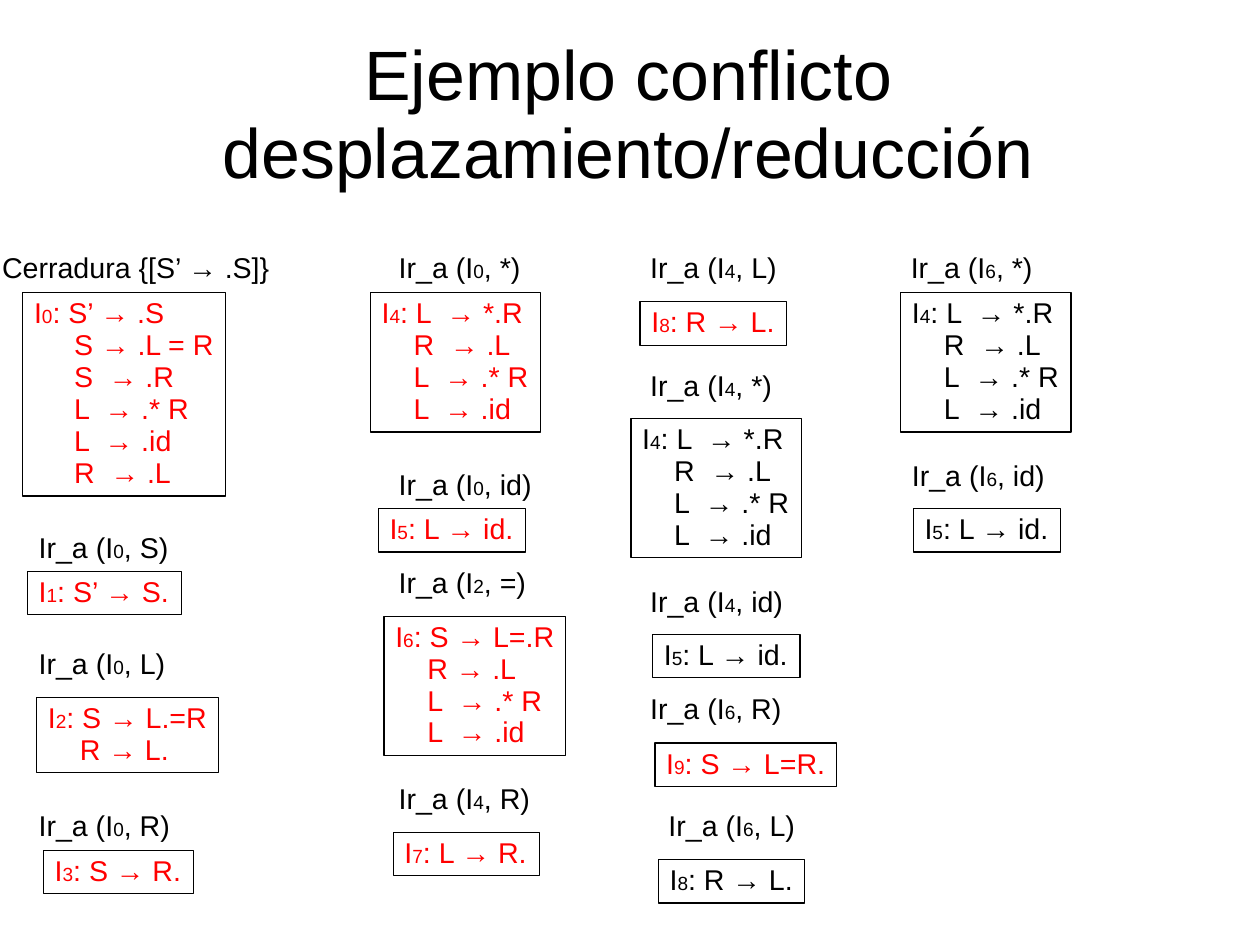
from pptx import Presentation
from pptx.dml.color import RGBColor
from pptx.enum.shapes import MSO_SHAPE
from pptx.enum.text import MSO_ANCHOR, MSO_AUTO_SIZE, PP_ALIGN
from pptx.util import Cm, Inches, Pt

RECTANGLE = MSO_SHAPE.RECTANGLE
TOP, MIDDLE = MSO_ANCHOR.TOP, MSO_ANCHOR.MIDDLE
LEFT, CENTER = PP_ALIGN.LEFT, PP_ALIGN.CENTER
FIT_SHAPE, FIXED = MSO_AUTO_SIZE.SHAPE_TO_FIT_TEXT, MSO_AUTO_SIZE.NONE

BLACK, RED = "000000", "FF0000"
FONT = "Arial"
TITLE = "Ejemplo conflicto desplazamiento/reducción"

# state: (box width, indent of later lines, items); digits between bars are small
STATES = {
    0: (1.77, 0.35, ["I|0|: S’ → .S", "S → .L = R", "S  → .R",
                     "L  → .* R", "L  → .id", "R  → .L"]),
    1: (1.35, 0, ["I|1|: S’ → S."]),
    2: (1.59, 0.28, ["I|2|: S → L.=R", "R → L."]),
    3: (1.31, 0, ["I|3|: S → R."]),
    4: (1.49, 0.28, ["I|4|: L  → *.R", "R  → .L", "L  → .* R", "L  → .id"]),
    5: (1.29, 0, ["I|5|: L → id."]),
    6: (1.59, 0.28, ["I|6|: S → L=.R", "R → .L", "L  → .* R", "L  → .id"]),
    7: (1.28, 0, ["I|7|: L → R."]),
    8: (1.28, 0, ["I|8|: R → L."]),
    9: (1.59, 0, ["I|9|: S → L=R."]),
}
START_LABEL = "Cerradura {[S’ → .S]}"
LABEL_WIDTHS = {START_LABEL: 2.55, "S": 1.35, "L": 1.32, "R": 1.37,
                "*": 1.28, "id": 1.38, "=": 1.33}

# (origin state, symbol, label left, label top, reached state, box left, box top)
TRANSITIONS = [
    (None, START_LABEL, -0.08, 2.16, 0, 0.2, 2.56),
    (0, "S", 0.24, 4.61, 1, 0.24, 5),
    (0, "L", 0.24, 5.63, 2, 0.32, 6.1),
    (0, "R", 0.24, 7.05, 3, 0.38, 7.44),
    (0, "*", 3.39, 2.16, 4, 3.24, 2.56),
    (0, "id", 3.39, 4.06, 5, 3.31, 4.45),
    (2, "=", 3.39, 4.92, 6, 3.36, 5.39),
    (4, "R", 3.39, 6.81, 7, 3.44, 7.28),
    (4, "L", 5.59, 2.16, 8, 5.6, 2.64),
    (4, "*", 5.59, 3.2, 4, 5.52, 3.66),
    (4, "id", 5.59, 5.09, 5, 5.71, 5.55),
    (6, "R", 5.59, 6.02, 9, 5.73, 6.5),
    (6, "L", 5.75, 7.05, 8, 5.76, 7.52),
    (6, "*", 7.87, 2.16, 4, 7.88, 2.56),
    (6, "id", 7.88, 3.98, 5, 7.99, 4.45),
]
LINE_HEIGHT = 0.28
MARGIN_X, MARGIN_Y = 0.1, 0.05


def rgb(color):
    return RGBColor.from_string(color)


def write_text(box, lines, *, size=18, small=12, color=BLACK, align=LEFT,
               anchor=TOP, margins=(MARGIN_X, MARGIN_Y), wrap=False, indent=0):
    """Fill a box; pieces between bars are small, lines after the first indented."""
    frame = box.text_frame
    frame.word_wrap = wrap
    frame.auto_size = FIXED if wrap else FIT_SHAPE
    frame.vertical_anchor = anchor
    frame.margin_left = frame.margin_right = Inches(margins[0])
    frame.margin_top = frame.margin_bottom = Inches(margins[1])
    for number, line in enumerate(lines):
        para = frame.add_paragraph() if number else frame.paragraphs[0]
        para.alignment = align
        para.line_spacing = 0.93
        if number and indent:
            para._p.get_or_add_pPr().set("marL", str(Inches(indent)))
        for position, piece in enumerate(line.split("|")):
            span = para.add_run()
            span.text = piece
            span.font.name = FONT
            span.font.size = Pt(small if position % 2 else size)
            span.font.color.rgb = rgb(color)


def add_label(page, origin, symbol, left, top):
    text = symbol if origin is None else f"Ir_a (I|{origin}|, {symbol})"
    label = page.shapes.add_textbox(
        Inches(left), Inches(top), Inches(LABEL_WIDTHS[symbol]),
        Inches(LINE_HEIGHT + 2 * MARGIN_Y))
    write_text(label, [text])


def add_state(page, state, left, top, color):
    width, indent, items = STATES[state]
    height = LINE_HEIGHT * len(items) + 2 * MARGIN_Y
    box = page.shapes.add_shape(RECTANGLE, Inches(left), Inches(top),
                                Inches(width), Inches(height))
    box.shadow.inherit = False
    box.fill.background()
    box.line.color.rgb = rgb(BLACK)
    box.line.width = Pt(0.75)
    write_text(box, items, color=color, indent=indent)


def main():
    deck = Presentation()
    deck.slide_width, deck.slide_height = Cm(28), Cm(21)
    page = deck.slides.add_slide(deck.slide_layouts[6])

    title = page.shapes.add_textbox(Inches(0.55), Inches(0.33),
                                    Inches(9.9), Inches(1.37))
    write_text(title, [TITLE], size=44, align=CENTER, anchor=MIDDLE,
               margins=(0, 0), wrap=True)

    reached = set()
    for origin, symbol, label_left, label_top, state, left, top in TRANSITIONS:
        add_label(page, origin, symbol, label_left, label_top)
        # A state is red the first time it is reached
        add_state(page, state, left, top, BLACK if state in reached else RED)
        reached.add(state)

    deck.save("out.pptx")


if __name__ == "__main__":
    main()
